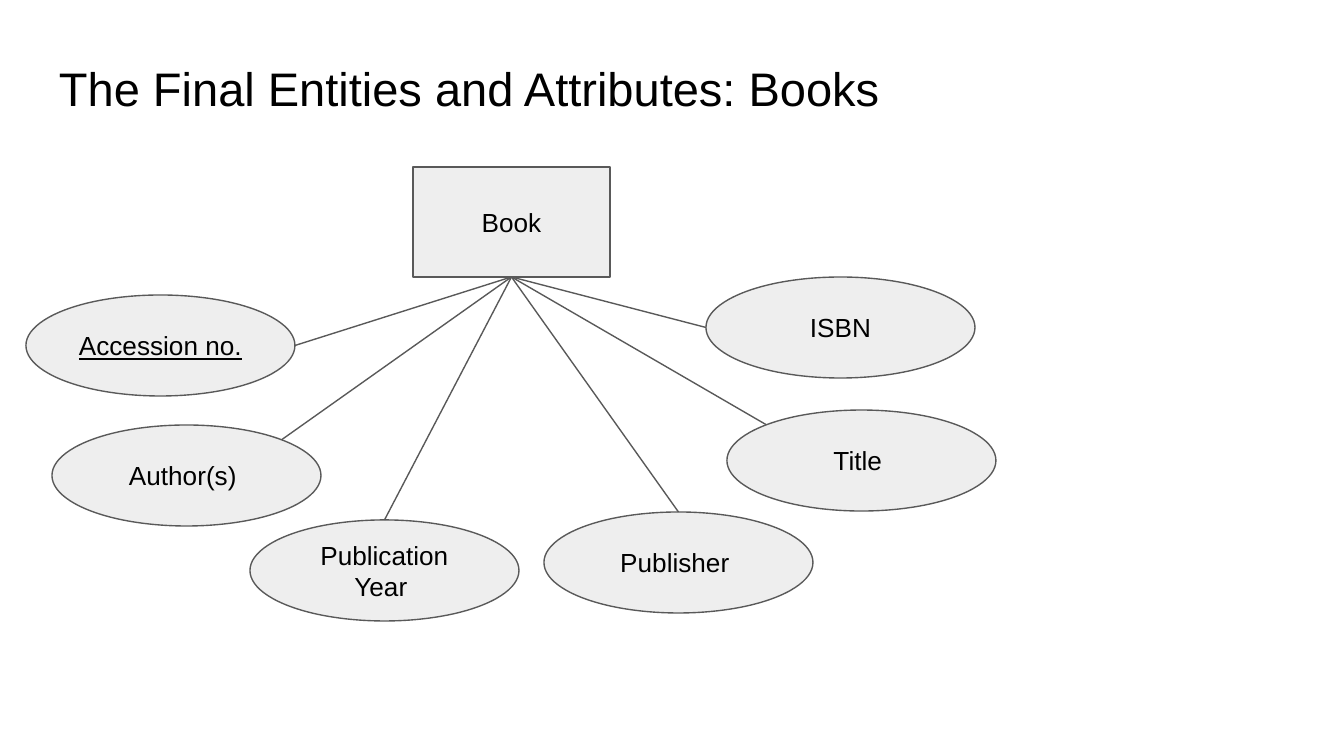
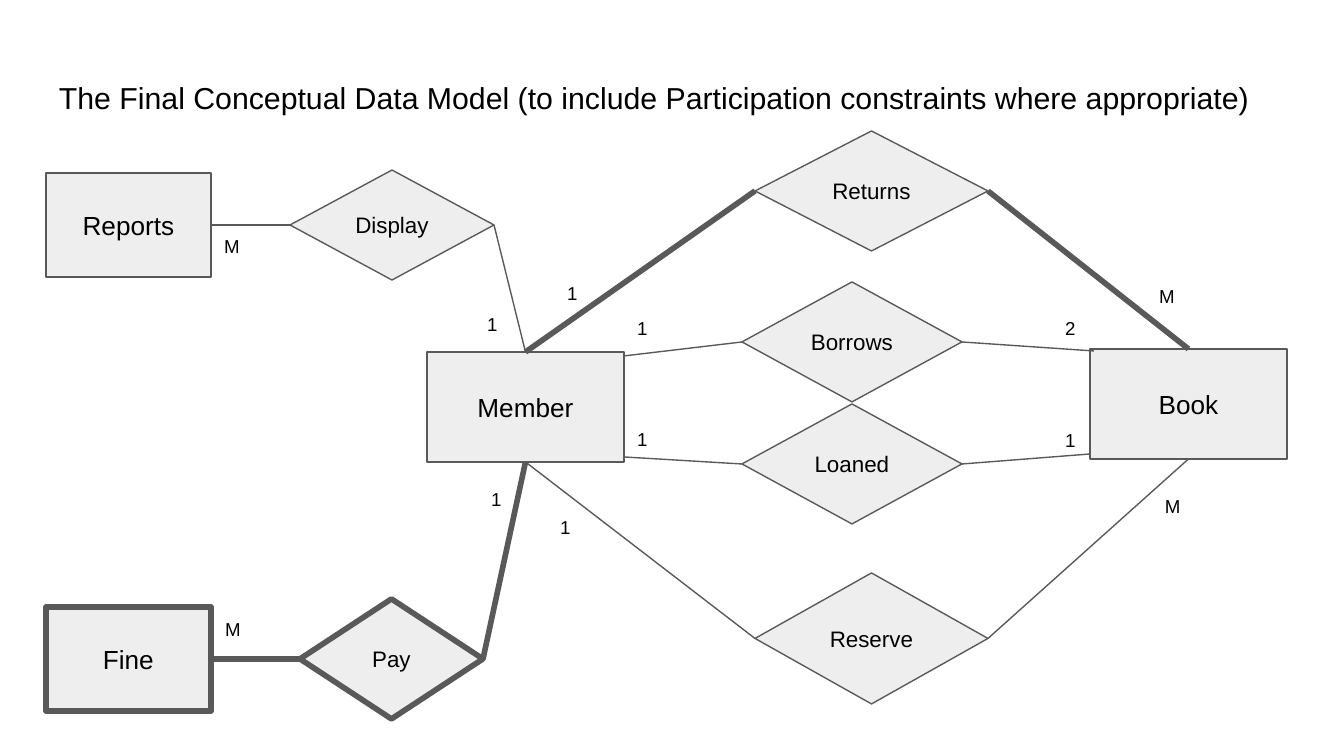
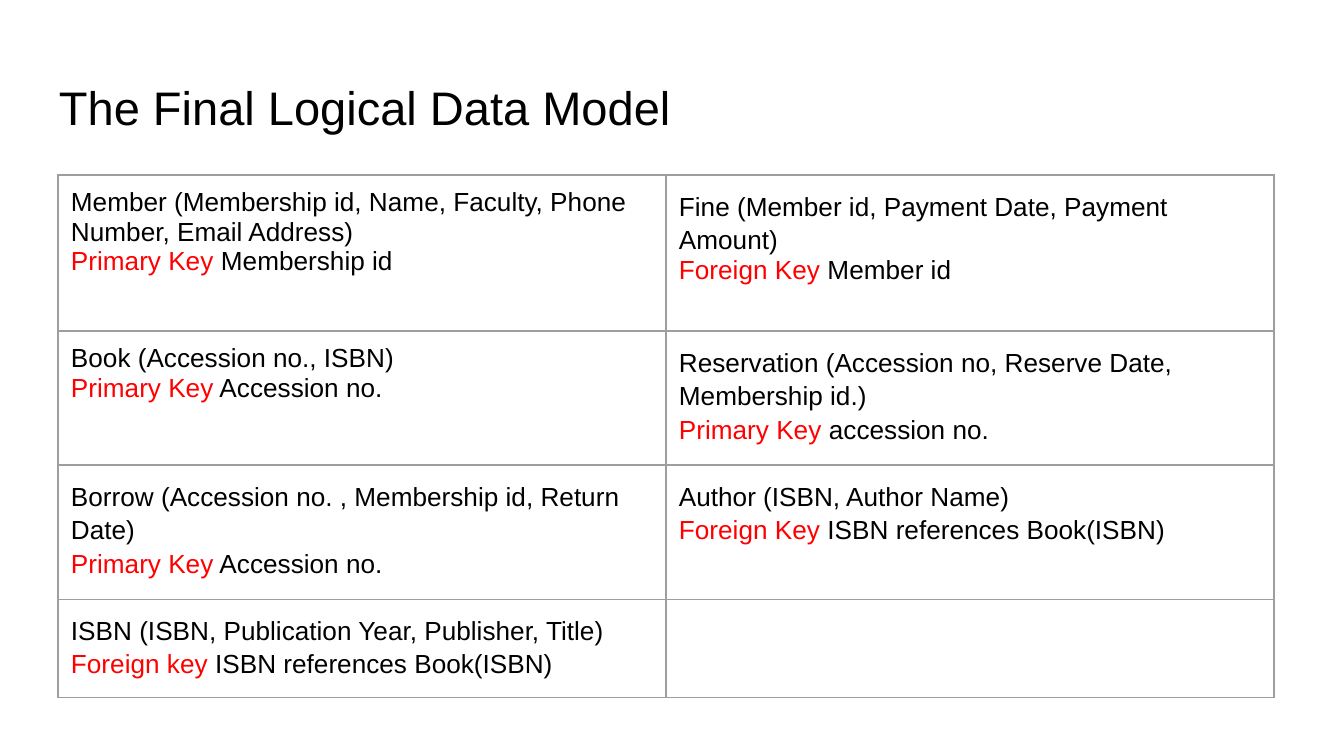
import math

import lxml.etree
import pptx
import pptx.dml.color
import pptx.enum.shapes
import pptx.enum.text
import pptx.oxml.ns
import pptx.util

EMU_PER_PX = 914400 / 134.4
FONT = "Arial"
COLORS = {"text": "000000", "fill": "EEEEEE", "line": "595959",
          "key": "FF0000", "border": "9E9E9E"}
THIN, THICK = 0.75, 3
TOP, LEFT, BOTTOM, RIGHT = range(4)
INSET = 13
SHAPES = pptx.enum.shapes.MSO_SHAPE
ENTITY_SIZE = (197, 110)
SMALL_ENTITY_SIZE = (165, 104)
ATTRIBUTE_SIZE = (269, 101)

# text, left, top, angle in degrees where its line arrives, underlined
ATTRIBUTES = [
    ("Accession no. ", 26, 295, 0, True),
    ("Author(s) ", 52, 425, -45, False),
    ("Publication Year ", 250, 520, -90, False),
    ("Publisher ", 544, 512, -90, False),
    ("Title ", 727, 410, -135, False),
    ("ISBN", 706, 277, 180, False),
]

# name, left, top, size, line width
ENTITIES = [
    ("Fine", 46, 607, SMALL_ENTITY_SIZE, THICK),
    ("Reports", 46, 173, SMALL_ENTITY_SIZE, THIN),
    ("Member", 427, 352, ENTITY_SIZE, THIN),
    ("Book", 1090, 349, ENTITY_SIZE, THIN),
]
RELATIONSHIPS = [
    ("Pay", 300, 599, (183, 120), THICK),
    ("Display", 290, 170, (204, 110), THIN),
    ("Returns", 755, 131, (233, 120), THIN),
    ("Borrows", 742, 282, (220, 120), THIN),
    ("Loaned", 742, 404, (220, 120), THIN),
    ("Reserve", 755, 573, (233, 131), THIN),
]

# relationship, its side, entity, the entity's side or a point on its edge, line width
LINKS = [
    ("Returns", LEFT, "Member", TOP, THICK),
    ("Returns", RIGHT, "Book", TOP, THICK),
    ("Borrows", LEFT, "Member", (624, 356), THIN),
    ("Borrows", RIGHT, "Book", (1094, 351), THIN),
    ("Loaned", LEFT, "Member", (624, 457), THIN),
    ("Loaned", RIGHT, "Book", (1090, 454), THIN),
    ("Reserve", LEFT, "Member", BOTTOM, THIN),
    ("Reserve", RIGHT, "Book", BOTTOM, THIN),
    ("Display", LEFT, "Reports", RIGHT, THIN),
    ("Display", RIGHT, "Member", TOP, THIN),
    ("Pay", LEFT, "Fine", RIGHT, THICK),
    ("Pay", RIGHT, "Member", BOTTOM, THICK),
]
CARDINALITIES = [
    ("M", 211, 224), ("1", 474, 302), ("1", 554, 271), ("M", 1146, 274),
    ("1", 624, 306), ("2", 1052, 306), ("1", 624, 417), ("1", 1052, 418),
    ("1", 547, 505), ("M", 1152, 484), ("1", 478, 477), ("M", 212, 607),
]

# relation, kind of key, rest of the key line, line spacing of both lines
RELATIONS = [
    [("Member (Membership id, Name, Faculty, Phone Number, Email Address)",
      "Primary Key", " Membership id", (1, 1)),
     ("Fine (Member id, Payment Date, Payment Amount)",
      "Foreign Key", " Member id", (1.15, 1))],
    [("Book (Accession no., ISBN)", "Primary Key", " Accession no.", (1, 1)),
     ("Reservation (Accession no, Reserve Date, Membership id.)",
      "Primary Key", " accession no.", (1.15, 1.15))],
    [("Borrow (Accession no. , Membership id, Return Date)",
      "Primary Key", " Accession no.", (1.15, 1.15)),
     ("Author (ISBN, Author Name)",
      "Foreign Key", " ISBN references Book(ISBN)", (1.15, 1.15))],
    [("ISBN (ISBN, Publication Year, Publisher, Title)",
      "Foreign key", " ISBN references Book(ISBN)", (1.15, 1.15)), None],
]
ROW_HEIGHTS = [156, 129, 128, 95]


def px(length):
    return pptx.util.Emu(round(length * EMU_PER_PX))


def color(name):
    return pptx.dml.color.RGBColor.from_string(COLORS[name])


def style_span(span, size, color_name="text"):
    span.font.name = FONT
    span.font.size = pptx.util.Pt(size)
    span.font.color.rgb = color(color_name)


def set_insets(owner):
    """Give a text frame or a table cell the shared margins."""
    owner.margin_left = owner.margin_right = px(INSET)
    owner.margin_top = owner.margin_bottom = px(INSET)


def fill_frame(frame, text, size):
    frame.text = text
    frame.word_wrap = True
    set_insets(frame)
    span = frame.paragraphs[0].runs[0]
    style_span(span, size)
    return span


def add_text(page, text, left, top, width, height, size):
    box = page.shapes.add_textbox(px(left), px(top), px(width), px(height))
    fill_frame(box.text_frame, text, size)
    return box


def add_title(page, text, top, height, size=25.2):
    add_text(page, text, 46, top, 1253, height, size)


def add_cardinality(page, text, left, top):
    box = add_text(page, text, left, top, 43, 50, 10)
    box.text_frame.auto_size = pptx.enum.text.MSO_AUTO_SIZE.SHAPE_TO_FIT_TEXT


def add_node(page, kind, text, left, top, size, line_width=THIN, font_size=14, underline=False):
    width, height = size
    node = page.shapes.add_shape(kind, px(left), px(top), px(width), px(height))
    node.shadow.inherit = False
    node.fill.solid()
    node.fill.fore_color.rgb = color("fill")
    node.line.color.rgb = color("line")
    node.line.width = pptx.util.Pt(line_width)
    span = fill_frame(node.text_frame, text, font_size)
    if underline:
        span.font.underline = True
    node.text_frame.vertical_anchor = pptx.enum.text.MSO_ANCHOR.MIDDLE
    node.text_frame.paragraphs[0].alignment = pptx.enum.text.PP_ALIGN.CENTER
    return node


def add_link(page, node, side, end, line_width=THIN):
    """Draw a line from the middle of a node's side to a point in px."""
    x, y = px(end[0]), px(end[1])
    link = page.shapes.add_connector(pptx.enum.shapes.MSO_CONNECTOR.STRAIGHT, x, y, x, y)
    link.begin_connect(node, side)
    link.line.color.rgb = color("line")
    link.line.width = pptx.util.Pt(line_width)
    lxml.etree.SubElement(link._element.spPr, pptx.oxml.ns.qn("a:effectLst"))
    return link


def ellipse_point(left, top, size, angle):
    """Point on an ellipse's edge; 0 degrees is right and -90 is top."""
    width, height = size
    turn = math.radians(angle)
    return (left + width / 2 * (1 + math.cos(turn)),
            top + height / 2 * (1 + math.sin(turn)))


def add_borders(cell):
    properties = cell._tc.get_or_add_tcPr()
    for edge in ("a:lnL", "a:lnR", "a:lnT", "a:lnB"):
        line = lxml.etree.SubElement(properties, pptx.oxml.ns.qn(edge),
                                     w=str(pptx.util.Pt(THIN)))
        fill = lxml.etree.SubElement(line, pptx.oxml.ns.qn("a:solidFill"))
        lxml.etree.SubElement(fill, pptx.oxml.ns.qn("a:srgbClr"), val=COLORS["border"])


def fill_relation(cell, relation):
    heading, key, rest, spacings = relation
    heading_para = cell.text_frame.paragraphs[0]
    key_para = cell.text_frame.add_paragraph()
    for para, text, color_name in ((heading_para, heading, "text"),
                                   (key_para, key, "key"), (key_para, rest, "text")):
        span = para.add_run()
        span.text = text
        style_span(span, 14, color_name)
    for para, spacing in zip((heading_para, key_para), spacings):
        para.line_spacing = float(spacing)


def add_relation_table(page, left, top, column_width):
    columns = len(RELATIONS[0])
    table = page.shapes.add_table(len(RELATIONS), columns, px(left), px(top),
                                  px(column_width * columns), px(sum(ROW_HEIGHTS))).table
    table.first_row = table.horz_banding = False
    for column in table.columns:
        column.width = px(column_width)
    for row, height, relations in zip(table.rows, ROW_HEIGHTS, RELATIONS):
        row.height = px(height)
        for cell, relation in zip(row.cells, relations):
            set_insets(cell)
            add_borders(cell)
            cell.fill.background()
            if relation:
                fill_relation(cell, relation)


def build_book_attributes(page):
    add_title(page, "The Final Entities and Attributes: Books", 47, 87)
    book = add_node(page, SHAPES.RECTANGLE, "Book", 413, 167, ENTITY_SIZE)
    for text, left, top, angle, underline in ATTRIBUTES:
        add_node(page, SHAPES.OVAL, text, left, top, ATTRIBUTE_SIZE, underline=underline)
        add_link(page, book, BOTTOM, ellipse_point(left, top, ATTRIBUTE_SIZE, angle))


def build_conceptual_model(page):
    add_title(page, "The Final Conceptual Data Model (to include Participation "
                    "constraints where appropriate)", 66, 66, 16.2)
    nodes = {}
    for kind, group, font_size in ((SHAPES.RECTANGLE, ENTITIES, 14),
                                   (SHAPES.DIAMOND, RELATIONSHIPS, 12)):
        for name, left, top, size, line_width in group:
            nodes[name] = add_node(page, kind, name, left, top, size, line_width, font_size)
    for relationship, side, entity, target, line_width in LINKS:
        at_point = isinstance(target, tuple)
        link = add_link(page, nodes[relationship], side,
                        target if at_point else (0, 0), line_width)
        if not at_point:
            link.end_connect(nodes[entity], target)
    for text, left, top in CARDINALITIES:
        add_cardinality(page, text, left, top)


def build_logical_model(page):
    add_title(page, "The Final Logical Data Model", 66, 85)
    add_relation_table(page, 58, 175, 608)


def main():
    deck = pptx.Presentation()
    deck.slide_width, deck.slide_height = px(1344), px(756)
    for build in (build_book_attributes, build_conceptual_model, build_logical_model):
        build(deck.slides.add_slide(deck.slide_layouts[6]))
    deck.save("out.pptx")


if __name__ == "__main__":
    main()
